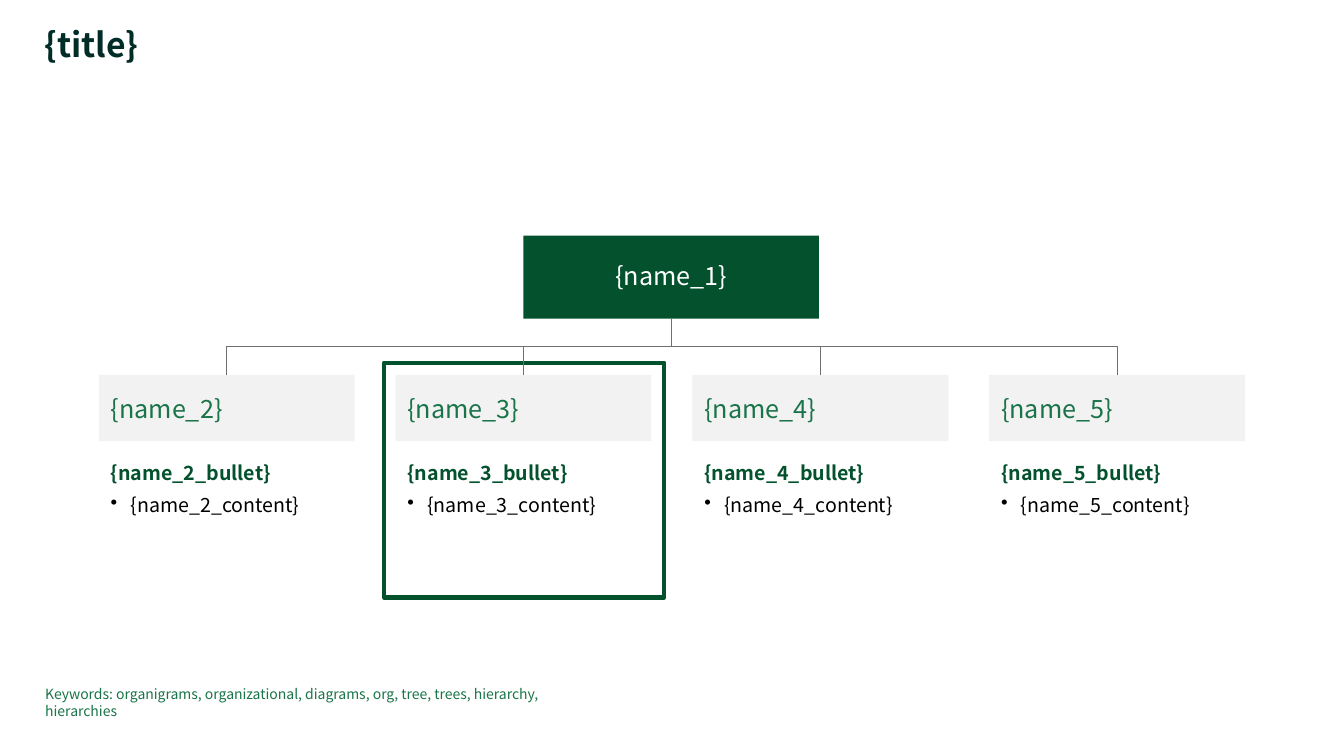
from lxml import etree
from pptx import Presentation
from pptx.dml.color import RGBColor
from pptx.enum.shapes import MSO_CONNECTOR, MSO_SHAPE
from pptx.enum.text import MSO_ANCHOR, PP_ALIGN
from pptx.oxml.ns import qn
from pptx.util import Cm, Pt

RECTANGLE = MSO_SHAPE.RECTANGLE
ELBOW = MSO_CONNECTOR.ELBOW
TOP, MIDDLE = MSO_ANCHOR.TOP, MSO_ANCHOR.MIDDLE
LEFT, CENTER = PP_ALIGN.LEFT, PP_ALIGN.CENTER

FONT = "Noto Sans CJK JP"
INK, BLACK, WHITE = "002D28", "000000", "FFFFFF"
DARK_GREEN, GREEN = "03522D", "1A7449"
LIGHT_GRAY, LINE_GRAY = "F2F2F2", "6E6F73"

# Lengths in centimetres
COLUMN_LEFT, COLUMN_PITCH, COLUMN_WIDTH = 2.49, 7.48, 6.45
CARD_TOP, CARD_HEIGHT = 9.45, 1.67
ROOT_LEFT, ROOT_TOP, ROOT_WIDTH, ROOT_HEIGHT = 13.19, 5.94, 7.45, 2.09
DETAIL_TOP, DETAIL_HEIGHT = 11.61, 1.42
BULLET_INDENT = 0.5


def color(value):
    return RGBColor.from_string(value)


class OrganizationSlide:
    """Holds the text style and the slide being drawn."""

    def __init__(self, slide, font):
        self.slide = slide
        self.font = font

    def prepare_frame(self, shape, margins=(0, 0), anchor=TOP):
        """Set the horizontal and vertical margins, wrapping and anchor."""
        frame = shape.text_frame
        frame.word_wrap = True
        frame.vertical_anchor = anchor
        frame.margin_left = frame.margin_right = Cm(margins[0])
        frame.margin_top = frame.margin_bottom = Cm(margins[1])
        return frame

    def add_run(self, paragraph, text, size, text_color, bold=False):
        run = paragraph.add_run()
        run.text = text
        run.font.name = self.font
        run.font.size = Pt(size)
        run.font.bold = bold
        run.font.color.rgb = color(text_color)

    def rectangle(self, left, top, width, height, fill=None, line=None):
        shape = self.slide.shapes.add_shape(
            RECTANGLE, Cm(left), Cm(top), Cm(width), Cm(height))
        shape.shadow.inherit = False
        if fill:
            shape.fill.solid()
            shape.fill.fore_color.rgb = color(fill)
        else:
            shape.fill.background()
        if line:
            shape.line.color.rgb = color(line)
            shape.line.width = Pt(3)
        else:
            shape.line.fill.background()
        return shape

    def label(self, shape, text, text_color, side_margin, align=LEFT):
        frame = self.prepare_frame(shape, (side_margin, 0.2), MIDDLE)
        paragraph = frame.paragraphs[0]
        paragraph.alignment = align
        self.add_run(paragraph, text, 18, text_color)

    def text_box(self, left, top, width, height, side_margin=0):
        box = self.slide.shapes.add_textbox(
            Cm(left), Cm(top), Cm(width), Cm(height))
        return self.prepare_frame(box, (side_margin, 0))

    def details(self, left, heading, content):
        frame = self.text_box(
            left, DETAIL_TOP, COLUMN_WIDTH, DETAIL_HEIGHT, 0.3)
        paragraph = frame.paragraphs[0]
        paragraph.space_after = Pt(6)
        self.add_run(paragraph, heading, 14, DARK_GREEN, bold=True)

        bullet = frame.add_paragraph()
        bullet.space_after = Pt(6)
        properties = bullet._p.get_or_add_pPr()
        properties.set("marL", str(Cm(BULLET_INDENT)))
        properties.set("indent", str(-Cm(BULLET_INDENT)))
        bullet_color = etree.SubElement(properties, qn("a:buClr"))
        etree.SubElement(bullet_color, qn("a:srgbClr")).set("val", BLACK)
        etree.SubElement(properties, qn("a:buChar")).set("char", "•")
        self.add_run(bullet, content, 14, BLACK)

    def branch(self, start_x, start_y, end_x, end_y):
        """Draw an elbow that leaves downwards, as a turned horizontal elbow."""
        middle_x, middle_y = (start_x + end_x) / 2, (start_y + end_y) / 2
        half_drop, half_span = (end_y - start_y) / 2, abs(end_x - start_x) / 2
        goes_left = end_x < start_x
        direction = 1 if goes_left else -1
        connector = self.slide.shapes.add_connector(
            ELBOW,
            Cm(middle_x - direction * half_drop), Cm(middle_y - half_span),
            Cm(middle_x + direction * half_drop), Cm(middle_y + half_span))
        connector.line.color.rgb = color(LINE_GRAY)
        connector.line.width = Pt(0.5)
        properties = connector._element.spPr
        angle = 90 if goes_left else 270
        properties.find(qn("a:xfrm")).set("rot", str(angle * 60000))
        etree.SubElement(properties, qn("a:effectLst"))


def main():
    presentation = Presentation()
    presentation.slide_width = Cm(33.87)
    presentation.slide_height = Cm(19.05)
    slide = presentation.slides.add_slide(presentation.slide_layouts[6])
    chart = OrganizationSlide(slide, FONT)

    title = chart.text_box(1.12, 0.71, 28.02, 0.94).paragraphs[0]
    title.line_spacing = 0.9
    chart.add_run(title, "{title}", 24, INK, bold=True)

    chart.rectangle(9.68, 9.14, 7.06, 5.92, line=DARK_GREEN)

    columns = [(f"name_{index + 2}", COLUMN_LEFT + index * COLUMN_PITCH)
               for index in range(4)]
    for name, left in columns:
        card = chart.rectangle(
            left, CARD_TOP, COLUMN_WIDTH, CARD_HEIGHT, LIGHT_GRAY)
        chart.label(card, f"{{{name}}}", GREEN, 0.3)

    root = chart.rectangle(
        ROOT_LEFT, ROOT_TOP, ROOT_WIDTH, ROOT_HEIGHT, DARK_GREEN)
    chart.label(root, "{name_1}", WHITE, 0.6, CENTER)
    root.text_frame.paragraphs[0].line_spacing = 0.95

    for name, left in columns:
        chart.branch(ROOT_LEFT + ROOT_WIDTH / 2, ROOT_TOP + ROOT_HEIGHT,
                     left + COLUMN_WIDTH / 2, CARD_TOP)
    for name, left in columns:
        chart.details(left, f"{{{name}_bullet}}", f"{{{name}_content}}")

    keywords = chart.text_box(1.14, 17.27, 13.87, 0.43).paragraphs[0]
    chart.add_run(
        keywords,
        "Keywords: organigrams, organizational, diagrams, org, tree, trees, "
        "hierarchy, hierarchies", 10, GREEN)

    presentation.save("out.pptx")


if __name__ == "__main__":
    main()
